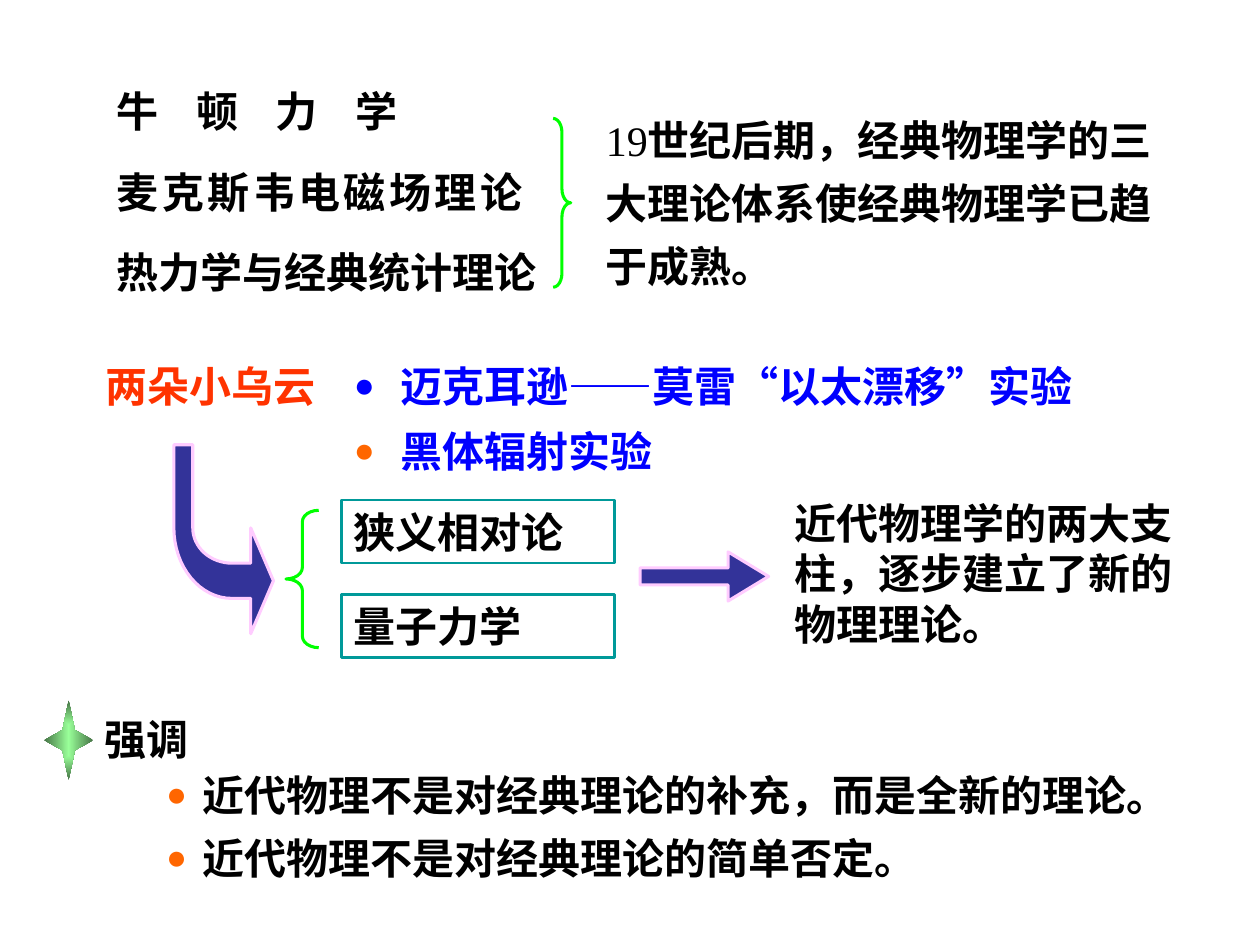
from math import cos, pi, sin

from lxml.etree import SubElement
from pptx import Presentation
from pptx.dml.color import RGBColor
from pptx.enum.shapes import MSO_SHAPE as Preset
from pptx.enum.text import MSO_ANCHOR as Anchor, MSO_AUTO_SIZE as AutoSize, PP_ALIGN as Align
from pptx.oxml.ns import qn
from pptx.util import Inches, Pt

BLACK, BLUE, RED, ORANGE = "000000", "0000FF", "FF3300", "FF6600"
GREEN, TEAL, NAVY, PINK = "00FF00", "009999", "333399", "FFCCFF"


def color(hex_code):
    return RGBColor.from_string(hex_code)


def quarter_arc(center, radii, start, end, steps=16):
    """Points along an ellipse between two angles given in quarter turns."""
    angles = [(start + (end - start) * i / steps) * pi / 2 for i in range(steps + 1)]
    return [(center[0] + radii[0] * cos(a), center[1] + radii[1] * sin(a)) for a in angles]


class SlideBuilder:
    latin, asian, size = "Times New Roman", "Noto Sans CJK SC", 24

    def __init__(self, slide):
        self.slide = slide

    def style_span(self, span, hex_code, bold=True, spacing=0):
        span.font.size = Pt(self.size)
        span.font.bold = bold
        span.font.name = self.latin
        span.font.color.rgb = color(hex_code)
        properties = span.font._element
        if spacing:
            properties.set("spc", str(round(spacing * 100)))
        east_asian = properties.makeelement(qn("a:ea"), {"typeface": self.asian})
        properties.find(qn("a:latin")).addnext(east_asian)

    def label(self, shape, text, hex_code=BLACK, spacing=0):
        frame = shape.text_frame
        frame.text = text
        frame.word_wrap = True
        frame.auto_size = AutoSize.SHAPE_TO_FIT_TEXT
        frame.vertical_anchor = Anchor.TOP
        para = frame.paragraphs[0]
        para.alignment = Align.LEFT
        for span in para.runs:
            self.style_span(span, hex_code, spacing=spacing)
        return para

    def text(self, left, top, width, text, hex_code=BLACK, height=0.5, spacing=0):
        box = self.slide.shapes.add_textbox(*map(Inches, (left, top, width, height)))
        return self.label(box, text, hex_code, spacing)

    def bullet(self, left, top, width, text, hex_code, dot, indent):
        para = self.text(left, top, width, text, hex_code)
        properties = para._p.get_or_add_pPr()
        properties.set("marL", str(Inches(indent)))
        properties.set("indent", str(-Inches(indent)))
        bullet_color = SubElement(properties, qn("a:buClr"))
        SubElement(bullet_color, qn("a:srgbClr"), val=dot)
        SubElement(properties, qn("a:buSzPct"), val="83000")
        SubElement(properties, qn("a:buFont"), typeface=self.latin)
        SubElement(properties, qn("a:buChar"), char="●")

    def paint(self, shape, fill=None, line=None, weight=1.75):
        shape.shadow.inherit = False
        if fill:
            shape.fill.solid()
            shape.fill.fore_color.rgb = color(fill)
        else:
            shape.fill.background()
        if line:
            shape.line.color.rgb = color(line)
            shape.line.width = Pt(weight)
        else:
            shape.line.fill.background()

    def shape(self, preset, left, top, width, height, adjust=(), **paint):
        shape = self.slide.shapes.add_shape(preset, *map(Inches, (left, top, width, height)))
        for index, value in enumerate(adjust):
            shape.adjustments[index] = value
        self.paint(shape, **paint)
        return shape

    def outline(self, points, **paint):
        corners = [(Inches(x), Inches(y)) for x, y in points]
        builder = self.slide.shapes.build_freeform(*corners[0])
        builder.add_line_segments(corners[1:], close=True)
        self.paint(builder.convert_to_shape(), **paint)

    def glow(self, shape, center, edge):
        """Fill a shape with a gradient that spreads from its centre."""
        properties = shape._element.spPr
        gradient = properties.makeelement(qn("a:gradFill"), {"rotWithShape": "1"})
        stops = SubElement(gradient, qn("a:gsLst"))
        for position, hex_code in (("0", center), ("100000", edge)):
            stop = SubElement(stops, qn("a:gs"), pos=position)
            SubElement(stop, qn("a:srgbClr"), val=hex_code)
        spread = SubElement(gradient, qn("a:path"), {"path": "rect"})
        SubElement(spread, qn("a:fillToRect"), dict.fromkeys("ltrb", "50000"))
        properties.replace(properties.find(qn("a:noFill")), gradient)


def main():
    deck = Presentation()
    deck.slide_width, deck.slide_height = Inches(10), Inches(7.5)
    page = SlideBuilder(deck.slides.add_slide(deck.slide_layouts[6]))

    # Three classical theories, spaced out to similar widths
    theories = [("牛 顿 力 学", 8), ("麦 克 斯 韦 电 磁 场 理 论", -1.75), ("热力学与经典统计理论", 0)]
    for row, (theory, spacing) in enumerate(theories):
        page.text(0.83, 0.63 + 0.64 * row, 3.7, theory, spacing=spacing)
    page.shape(Preset.RIGHT_BRACE, 4.39, 0.94, 0.14, 1.34, (0.79, 0.5), line=GREEN)

    # Summary of classical physics
    summary = page.text(4.71, 0.76, 4.62, "19", height=1.6)
    summary.line_spacing = 1.25
    summary.runs[0].font.bold = False
    span = summary.add_run()
    span.text = "世纪后期，经典物理学的三大理论体系使经典物理学已趋于成熟。"
    page.style_span(span, BLACK)

    # Two small clouds
    page.text(0.74, 2.81, 1.95, "两朵小乌云", RED)
    page.bullet(2.71, 2.81, 6.25, "迈克耳逊——莫雷“以太漂移”实验", BLUE, BLUE, 0.37)
    page.bullet(2.71, 3.33, 3.5, "黑体辐射实验", BLUE, ORANGE, 0.37)

    # Curved arrow from the clouds to the new theories
    bend = (1.84, 4.19)
    page.outline(
        [(1.38, 3.53), *quarter_arc(bend, (0.46, 0.56), 2, 1),
         (1.99, 4.75), (1.99, 5.03), (2.17, 4.61), (1.99, 4.19), (1.99, 4.47),
         *quarter_arc(bend, (0.31, 0.28), 1, 2), (1.53, 3.53)],
        fill=NAVY, line=PINK)

    # New theories
    page.shape(Preset.LEFT_BRACE, 2.27, 4.05, 0.26, 1.09, (0.35, 0.5), line=GREEN)
    for row, theory in enumerate(["狭义相对论", "量子力学"]):
        frame = page.shape(Preset.RECTANGLE, 2.71, 3.97 + 0.75 * row, 2.17, 0.5,
                           line=TEAL, weight=1.5)
        page.label(frame, theory)
    page.shape(Preset.RIGHT_ARROW, 5.08, 4.38, 1.02, 0.39, (0.346, 0.824), fill=NAVY, line=PINK)
    page.text(6.21, 3.9, 3.44, "近代物理学的两大支柱，逐步建立了新的物理理论。", height=1.3)

    # Emphasis
    star = page.shape(Preset.STAR_4_POINT, 0.35, 5.56, 0.39, 0.63, (0.18,))
    page.glow(star, "99FF99", "467546")
    page.text(0.73, 5.61, 1.67, "强调")
    points = ["近代物理不是对经典理论的补充，而是全新的理论。", "近代物理不是对经典理论的简单否定。"]
    for row, point in enumerate(points):
        page.bullet(1.22, 6.06 + 0.5 * row, 8.58, point, BLACK, ORANGE, 0.29)

    deck.save("out.pptx")


if __name__ == "__main__":
    main()
